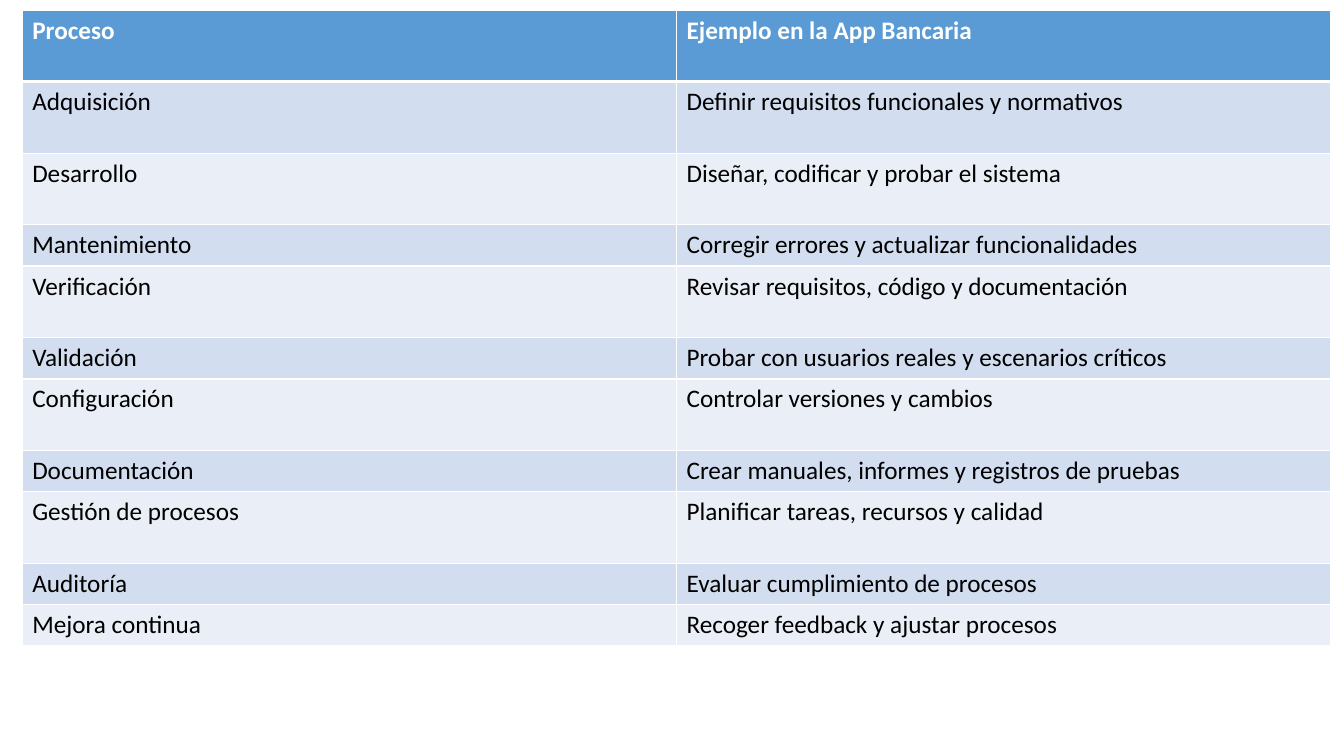
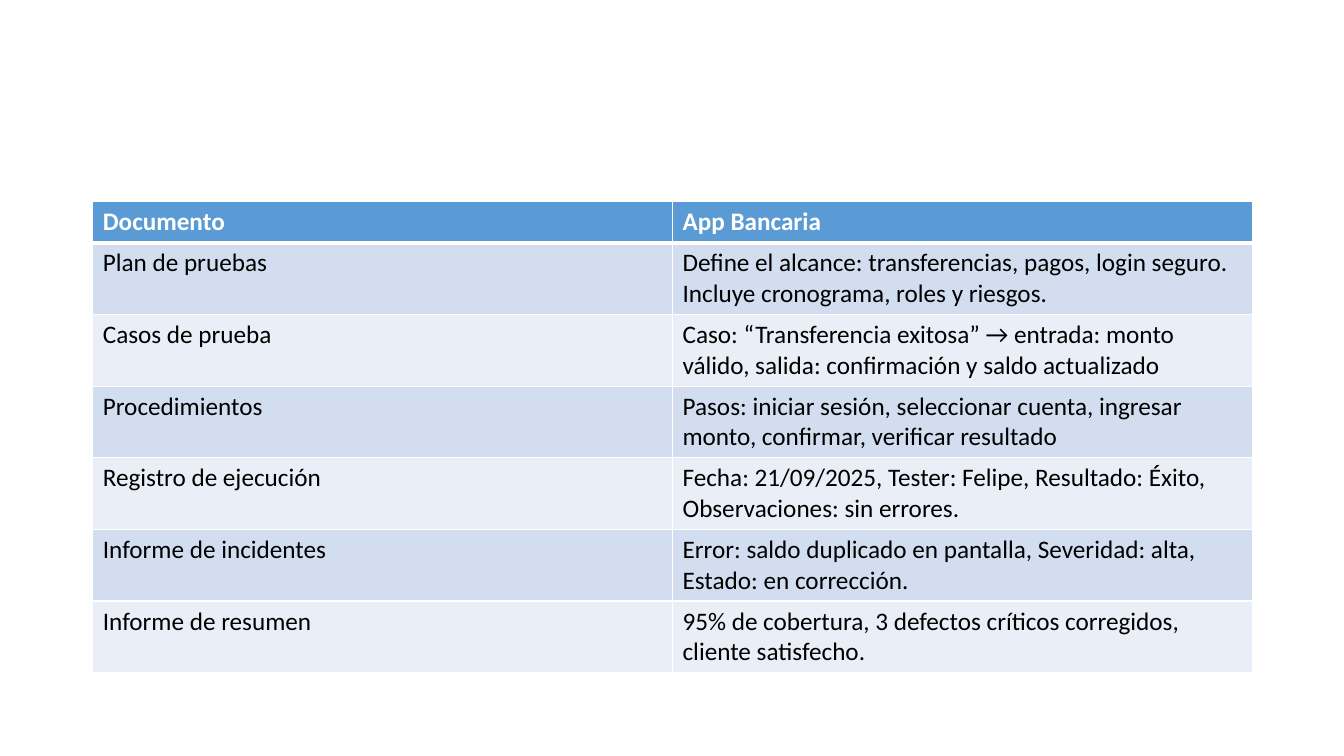
import dataclasses

import lxml.etree
import pptx
import pptx.dml.color
import pptx.oxml.ns
import pptx.util

Inches = pptx.util.Inches


@dataclasses.dataclass(frozen=True)
class Theme:
    font: str = "Calibri"
    size: int = 18
    head: str = "5B9BD5"
    bands: tuple = ("D2DEEF", "EAEFF7")
    light: str = "FFFFFF"
    dark: str = "000000"
    thin: int = 1
    thick: int = 3
    short: float = 0.41
    tall: float = 0.71


THEME = Theme()

STEPS = [
    ("Proceso", "Ejemplo en la App Bancaria"),
    ("Adquisición", "Definir requisitos funcionales y normativos"),
    ("Desarrollo", "Diseñar, codificar y probar el sistema"),
    ("Mantenimiento", "Corregir errores y actualizar funcionalidades"),
    ("Verificación", "Revisar requisitos, código y documentación"),
    ("Validación", "Probar con usuarios reales y escenarios críticos"),
    ("Configuración", "Controlar versiones y cambios"),
    ("Documentación", "Crear manuales, informes y registros de pruebas"),
    ("Gestión de procesos", "Planificar tareas, recursos y calidad"),
    ("Auditoría", "Evaluar cumplimiento de procesos"),
    ("Mejora continua", "Recoger feedback y ajustar procesos"),
]

PAPERS = [
    ("Documento", "App Bancaria"),
    ("Plan de pruebas", "Define el alcance: transferencias, pagos, login seguro. "
     "Incluye cronograma, roles y riesgos."),
    ("Casos de prueba", "Caso: “Transferencia exitosa” → entrada: monto válido, "
     "salida: confirmación y saldo actualizado"),
    ("Procedimientos", "Pasos: iniciar sesión, seleccionar cuenta, ingresar monto, "
     "confirmar, verificar resultado"),
    ("Registro de ejecución", "Fecha: 21/09/2025, Tester: Felipe, Resultado: Éxito, "
     "Observaciones: sin errores."),
    ("Informe de incidentes", "Error: saldo duplicado en pantalla, Severidad: alta, "
     "Estado: en corrección."),
    ("Informe de resumen", "95% de cobertura, 3 defectos críticos corregidos, "
     "cliente satisfecho."),
]


def color(code):
    return pptx.dml.color.RGBColor.from_string(code)


def add_edge(cell, side, width):
    qn = pptx.oxml.ns.qn
    props = cell._tc.get_or_add_tcPr()
    line = lxml.etree.SubElement(props, qn(f"a:ln{side}"), w=str(pptx.util.Pt(width)))
    fill = lxml.etree.SubElement(line, qn("a:solidFill"))
    lxml.etree.SubElement(fill, qn("a:srgbClr"), val=THEME.light)


def style_cell(cell, text, row):
    head = row == 0
    widths = {
        "L": THEME.thin,
        "R": THEME.thin,
        "T": THEME.thick if row == 1 else THEME.thin,
        "B": THEME.thick if head else THEME.thin,
    }
    for side, width in widths.items():
        add_edge(cell, side, width)
    cell.fill.solid()
    cell.fill.fore_color.rgb = color(THEME.head if head else THEME.bands[(row - 1) % 2])
    cell.text = text
    font = cell.text_frame.paragraphs[0].font
    font.name = THEME.font
    font.size = pptx.util.Pt(THEME.size)
    font.bold = head
    font.color.rgb = color(THEME.light if head else THEME.dark)


def add_grid(slide, rows, left, top, width, tall):
    highs = [THEME.tall if i in tall else THEME.short for i in range(len(rows))]
    table = slide.shapes.add_table(
        len(rows), len(rows[0]),
        Inches(left), Inches(top), Inches(width), Inches(sum(highs)),
    ).table
    for row, (texts, high) in enumerate(zip(rows, highs)):
        table.rows[row].height = Inches(high)
        for col, text in enumerate(texts):
            style_cell(table.cell(row, col), text, row)


def main():
    deck = pptx.Presentation()
    deck.slide_width = Inches(13.33)
    deck.slide_height = Inches(7.5)
    blank = deck.slide_layouts[6]
    add_grid(deck.slides.add_slide(blank), STEPS, 0.22, 0.1, 12.98, {0, 1, 2, 4, 6, 8})
    add_grid(deck.slides.add_slide(blank), PAPERS, 0.92, 2, 11.5, range(1, len(PAPERS)))
    deck.save("out.pptx")


if __name__ == "__main__":
    main()
